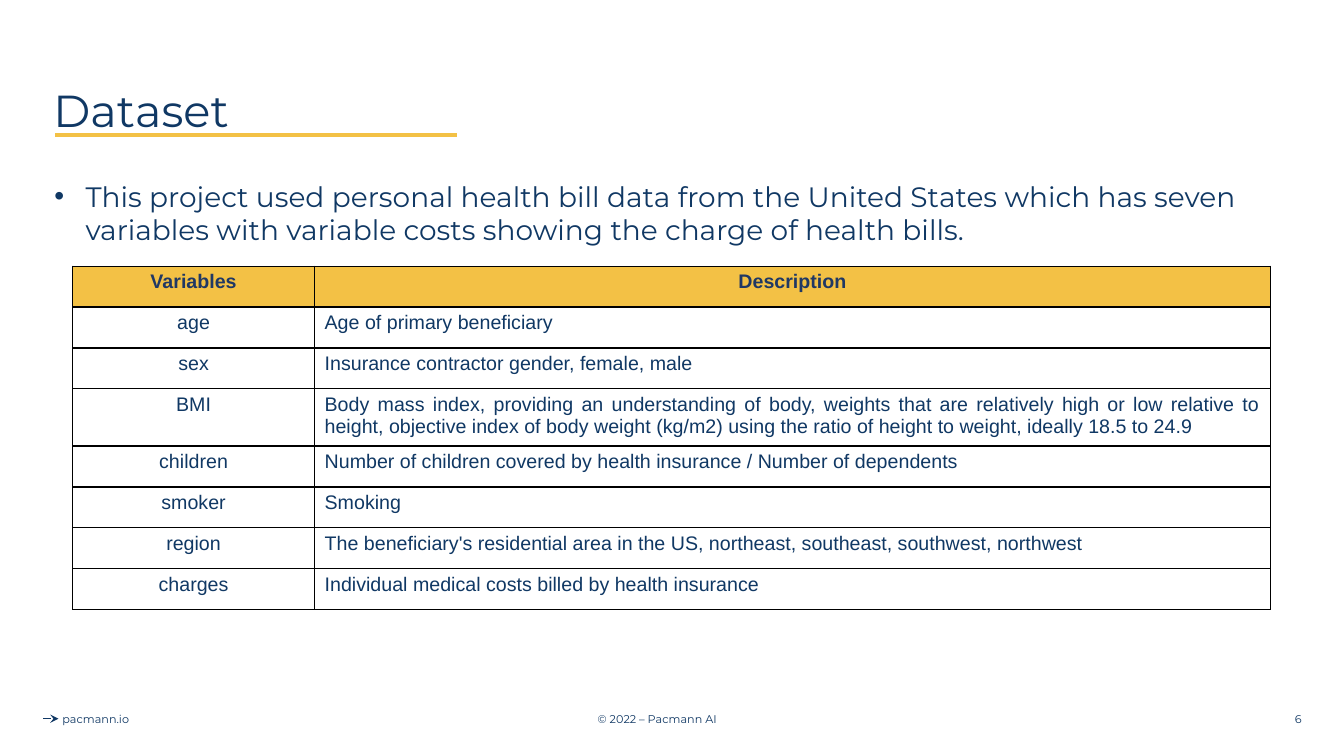
from lxml import etree
from pptx import Presentation
from pptx.dml.color import RGBColor
from pptx.enum.shapes import MSO_CONNECTOR
from pptx.enum.text import MSO_ANCHOR, PP_ALIGN
from pptx.oxml.ns import qn
from pptx.util import Inches, Pt

LINE = MSO_CONNECTOR.STRAIGHT
MIDDLE, TOP = MSO_ANCHOR.MIDDLE, MSO_ANCHOR.TOP
LEFT, CENTER, RIGHT, JUSTIFY = (
    PP_ALIGN.LEFT, PP_ALIGN.CENTER, PP_ALIGN.RIGHT, PP_ALIGN.JUSTIFY)
COLORS = {"navy": "103864", "head": "203864", "gold": "F3C145", "black": "000000"}
SANS, BODY = "Arial", "Montserrat"
INTRO = ("This project used personal health bill data from the United States which "
         "has seven variables with variable costs showing the charge of health bills.")
ROWS = [
    ("Variables", "Description"),
    ("age", "Age of primary beneficiary"),
    ("sex", "Insurance contractor gender, female, male"),
    ("BMI", "Body mass index, providing an understanding of body, weights that are "
            "relatively high or low relative to height, objective index of body weight "
            "(kg/m2) using the ratio of height to weight, ideally 18.5 to 24.9"),
    ("children", "Number of children covered by health insurance / Number of dependents"),
    ("smoker", "Smoking"),
    ("region", "The beneficiary's residential area in the US, northeast, southeast, "
               "southwest, northwest"),
    ("charges", "Individual medical costs billed by health insurance"),
]


def color(name):
    """Return the named colour."""
    return RGBColor.from_string(COLORS[name])


def style(para, size, face=BODY, tint="navy", align=LEFT, bold=False):
    """Format a whole paragraph."""
    para.alignment = align
    font = para.font
    font.size, font.name, font.bold = Pt(size), face, bold
    font.color.rgb = color(tint)


def add_text(slide, box, text, anchor=TOP):
    """Add a wrapped text box and return its paragraph."""
    frame = slide.shapes.add_textbox(*map(Inches, box)).text_frame
    frame.word_wrap = True
    frame.vertical_anchor = anchor
    frame.text = text
    return frame.paragraphs[0]


def add_rule(slide, left, top, width, tint, weight):
    """Add a level line without shadow."""
    rule = slide.shapes.add_connector(
        LINE, Inches(left), Inches(top), Inches(left + width), Inches(top))
    rule.line.color.rgb = color(tint)
    rule.line.width = Pt(weight)
    etree.SubElement(rule._element.spPr, qn("a:effectLst"))
    return rule


def add_title(slide, box, text):
    """Place the title and the gold rule under it."""
    left, top, width, height = box
    add_rule(slide, left + 0.12, top + 0.94, 3.98, "gold", 2.25)
    title = slide.shapes.title
    title.left, title.top, title.width, title.height = map(Inches, box)
    frame = title.text_frame
    frame.text = text
    frame.vertical_anchor = MIDDLE
    para = frame.paragraphs[0]
    para.line_spacing = 0.9
    style(para, 32)


def add_intro(slide, box, text):
    """Add the bulleted lead sentence."""
    para = add_text(slide, box, text)
    props = para._p.get_or_add_pPr()
    props.set("marL", str(Inches(0.31)))
    props.set("indent", str(-Inches(0.31)))
    etree.SubElement(props, qn("a:buFont"), typeface=SANS)
    etree.SubElement(props, qn("a:buChar"), char="•")
    style(para, 20)


def add_edges(cell):
    """Draw thin black borders round a cell."""
    props = cell._tc.get_or_add_tcPr()
    for side in ("lnL", "lnR", "lnT", "lnB"):
        edge = etree.SubElement(props, qn(f"a:{side}"), w=str(Pt(1)))
        fill = etree.SubElement(edge, qn("a:solidFill"))
        etree.SubElement(fill, qn("a:srgbClr"), val=COLORS["black"])


def add_grid(slide, box, rows, widths):
    """Add the table of variables."""
    left, top, width, height = map(Inches, box)
    table = slide.shapes.add_table(
        len(rows), len(widths), left, top, width, height).table
    for col, size in zip(table.columns, widths):
        col.width = Inches(size)
    for i, row in enumerate(rows):
        table.rows[i].height = Inches(box[3] / len(rows))
        for j, text in enumerate(row):
            cell = table.cell(i, j)
            cell.text = text
            add_edges(cell)
            para = cell.text_frame.paragraphs[0]
            if i == 0:
                cell.fill.solid()
                cell.fill.fore_color.rgb = color("gold")
                style(para, 14, SANS, "head", CENTER, True)
            else:
                cell.fill.background()
                style(para, 14, SANS, align=JUSTIFY if j else CENTER)


def add_footer(slide, top, height):
    """Add the arrow, site, copyright line and page number."""
    arrow = add_rule(slide, 0.43, top + height / 2, 0.15, "navy", 0.75)
    etree.SubElement(arrow.line._get_or_add_ln(), qn("a:tailEnd"), type="stealth")
    for left, width, text, align in (
            (4.27, 4.5, "© 2022 – Pacmann AI", CENTER),
            (-1.3, 4.5, "pacmann.io", CENTER),
            (10.01, 3, "6", RIGHT)):
        para = add_text(slide, (left, top, width, height), text, MIDDLE)
        style(para, 8, align=align)


def main():
    """Build and save the slide."""
    deck = Presentation()
    deck.slide_width, deck.slide_height = Inches(13.33), Inches(7.5)
    slide = deck.slides.add_slide(deck.slide_layouts[5])
    add_footer(slide, 6.93, 0.4)
    add_title(slide, (0.43, 0.4, 12.47, 1.45), "Dataset")
    add_intro(slide, (0.44, 1.73, 12.46, 0.77), INTRO)
    add_grid(slide, (0.72, 2.64, 11.88, 3.25), ROWS, (2.4, 9.48))
    deck.save("out.pptx")


if __name__ == "__main__":
    main()
